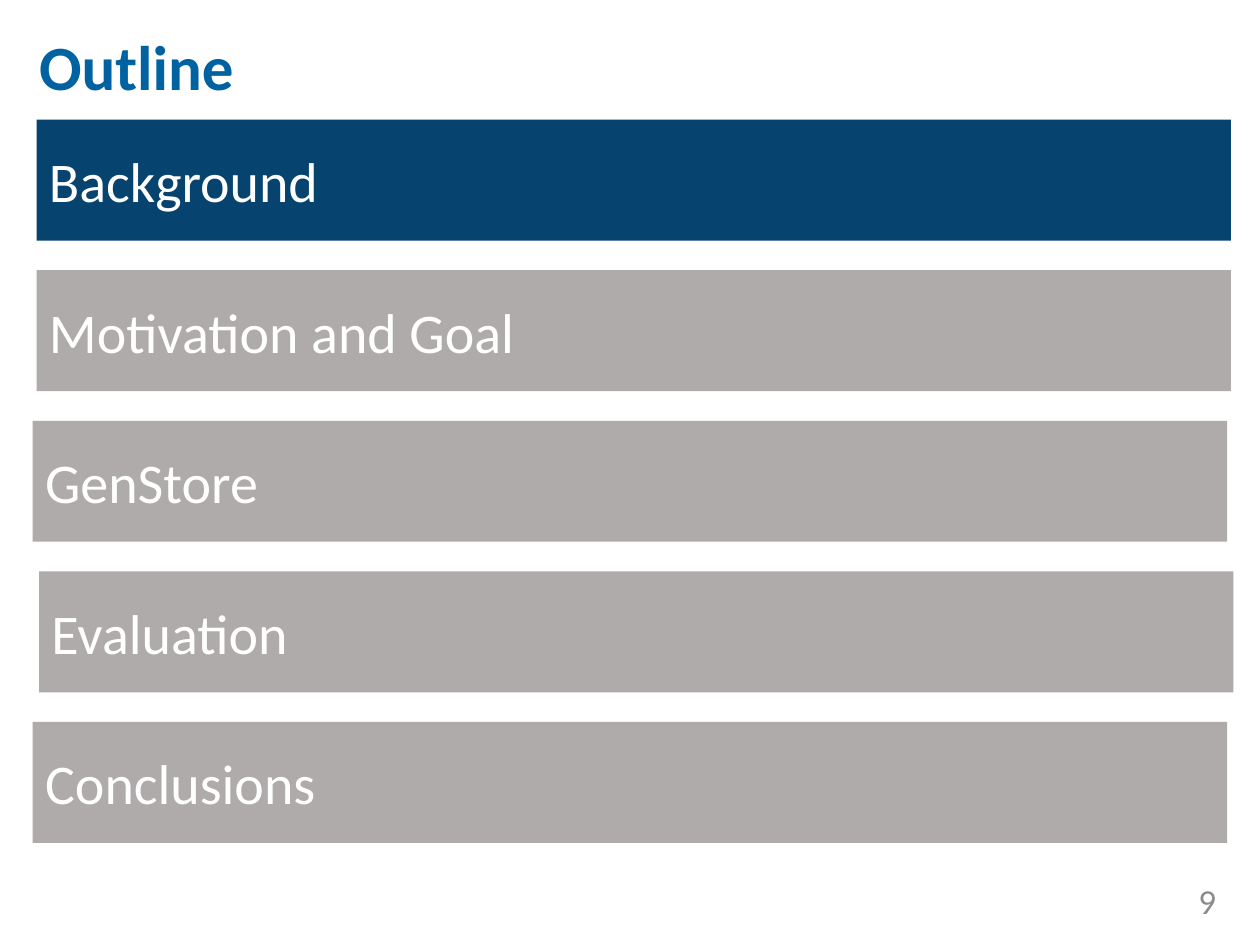
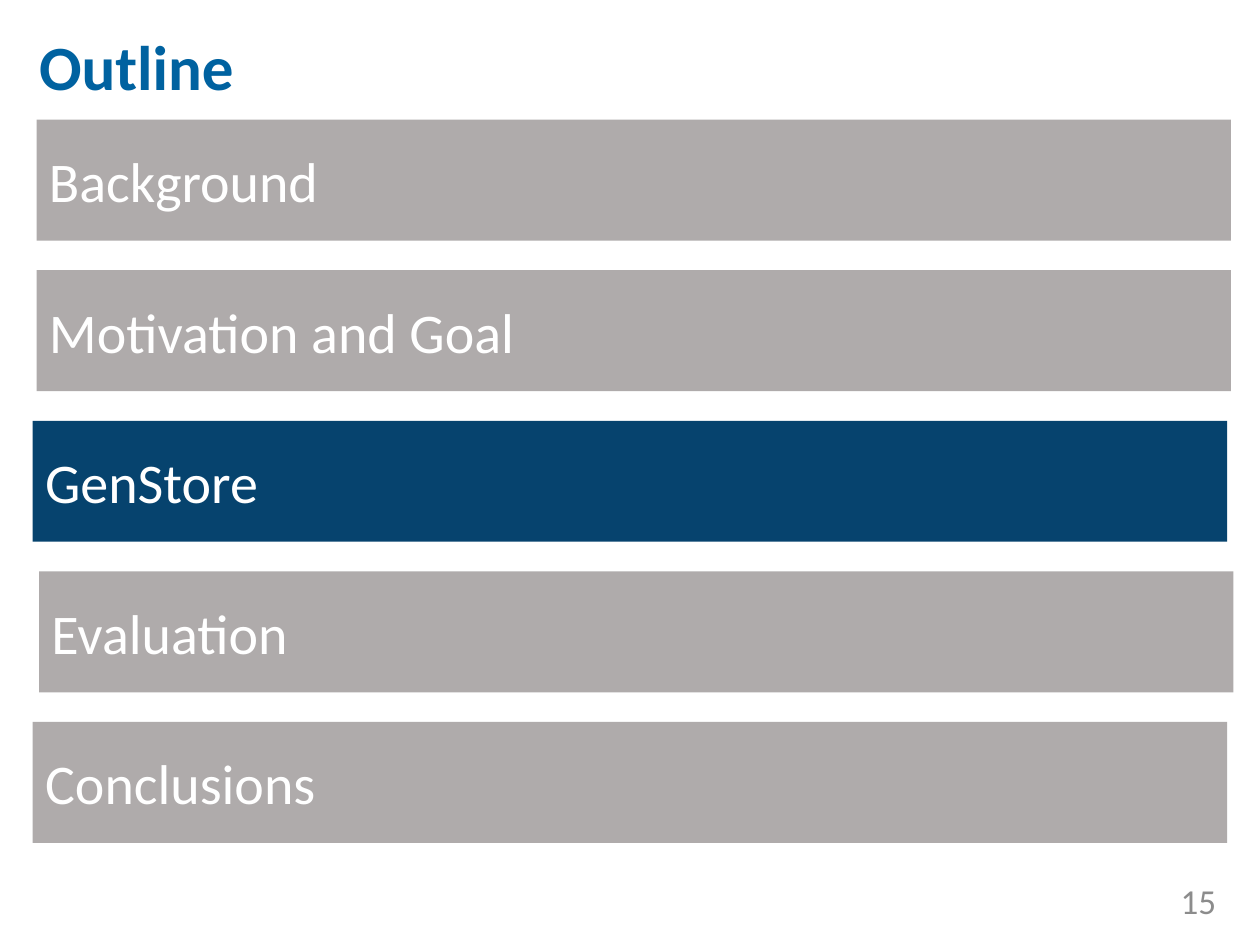
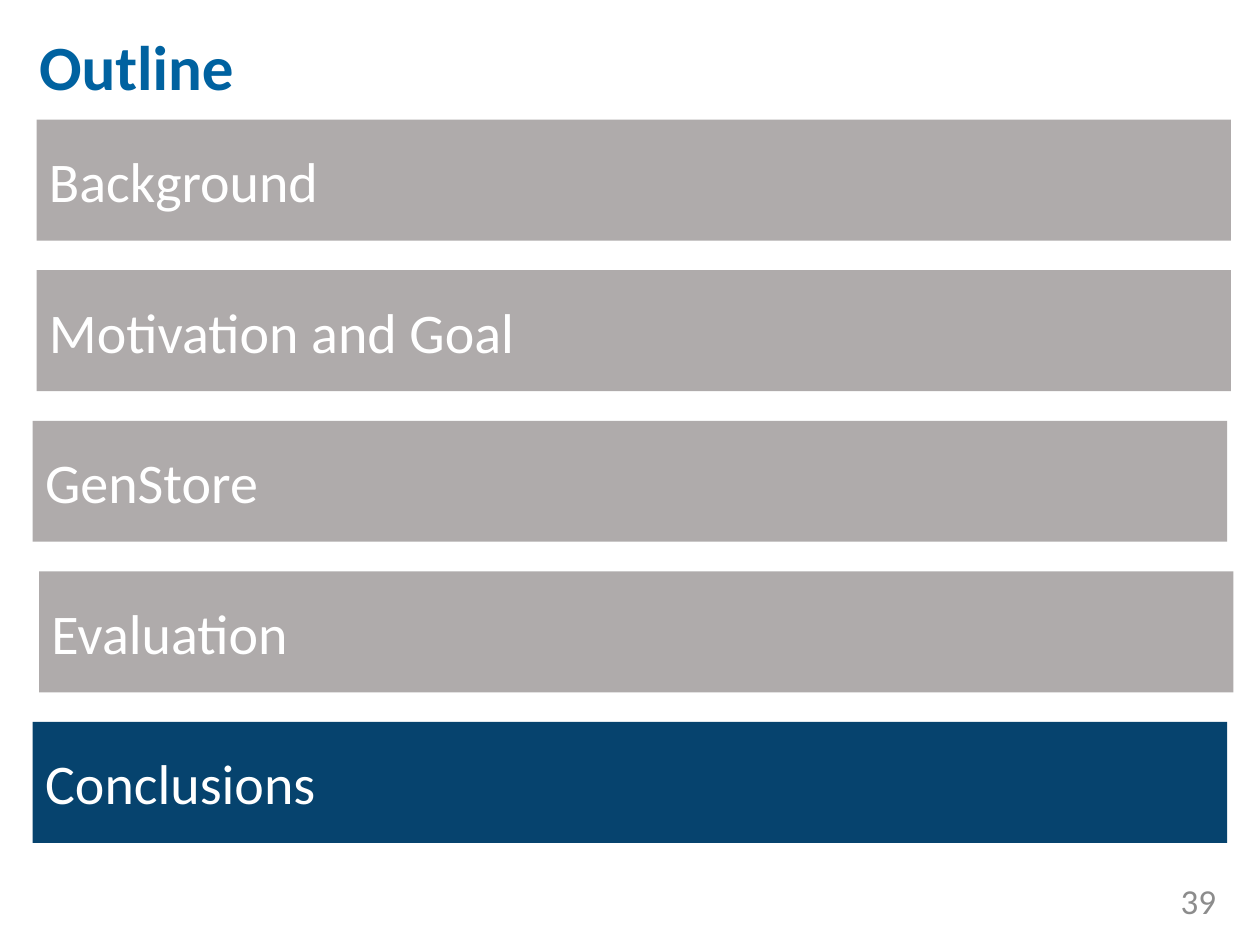
from dataclasses import dataclass

from pptx import Presentation
from pptx.dml.color import RGBColor
from pptx.enum.shapes import MSO_SHAPE
from pptx.enum.text import MSO_ANCHOR, PP_ALIGN
from pptx.util import Inches, Pt

RECT = MSO_SHAPE.RECTANGLE
MIDDLE = MSO_ANCHOR.MIDDLE
LEFT, RIGHT = PP_ALIGN.LEFT, PP_ALIGN.RIGHT
TITLE_ONLY = 5


@dataclass(frozen=True)
class Theme:
    font: str = "Calibri"
    title: str = "0062A0"
    active: str = "06436E"
    muted: str = "AFABAB"
    label: str = "FFFFFF"
    number: str = "8C8C8C"
    title_size: int = 36
    label_size: int = 32
    number_size: int = 20


theme = Theme()


def write(shape, text, size, color, bold=False, align=LEFT, after=0):
    frame = shape.text_frame
    frame.word_wrap = True
    frame.vertical_anchor = MIDDLE
    para = frame.paragraphs[0]
    para.alignment = align
    para.space_after = Pt(after)
    run = para.add_run()
    run.text = text
    run.font.name = theme.font
    run.font.size = Pt(size)
    run.font.bold = bold
    run.font.color.rgb = RGBColor.from_string(color)


# Topics with the left edge of each bar
topics = [
    ("Background", 0.29),
    ("Motivation and Goal", 0.29),
    ("GenStore", 0.26),
    ("Evaluation", 0.31),
    ("Conclusions", 0.26),
]
first, last = 0.95, 5.73
step = (last - first) / (len(topics) - 1)

# Page number and highlighted topic of each slide
pages = [(9, "Background"), (15, "GenStore"), (39, "Conclusions")]

deck = Presentation()
deck.slide_width, deck.slide_height = Inches(10), Inches(7.5)

for page, current in pages:
    slide = deck.slides.add_slide(deck.slide_layouts[TITLE_ONLY])
    shapes = slide.shapes

    # Title
    title = shapes.title
    title.left, title.top = Inches(0.21), Inches(0.1)
    title.width, title.height = Inches(9.62), Inches(0.84)
    write(title, "Outline", theme.title_size, theme.title, bold=True, after=6)

    # Topic bars
    for row, (topic, left) in enumerate(topics):
        bar = shapes.add_shape(RECT, Inches(left), Inches(first + row * step),
                               Inches(9.48), Inches(0.96))
        bar.shadow.inherit = False
        fill = theme.active if topic == current else theme.muted
        bar.fill.solid()
        bar.fill.fore_color.rgb = RGBColor.from_string(fill)
        bar.line.fill.background()
        write(bar, topic, theme.label_size, theme.label)

    # Page number
    number = shapes.add_textbox(Inches(8.67), Inches(6.95), Inches(1.08), Inches(0.4))
    write(number, str(page), theme.number_size, theme.number, align=RIGHT)

deck.save("out.pptx")
